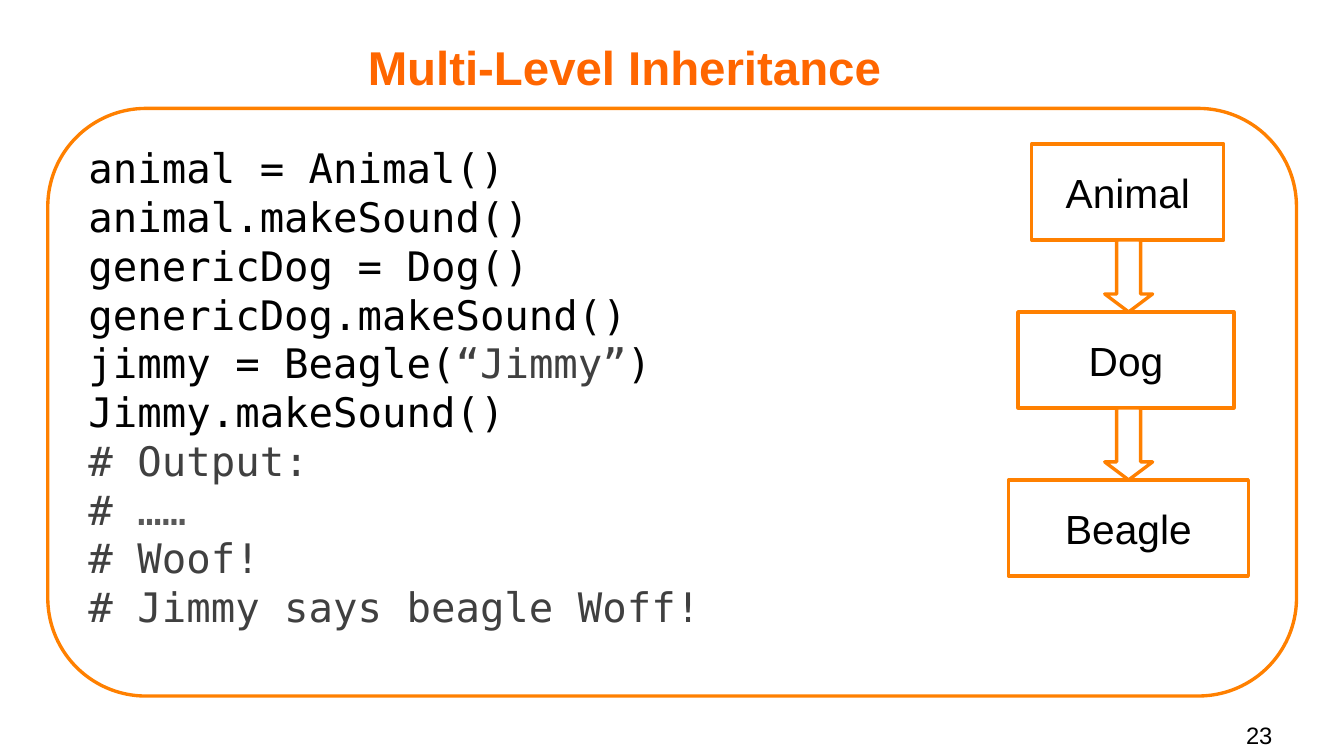
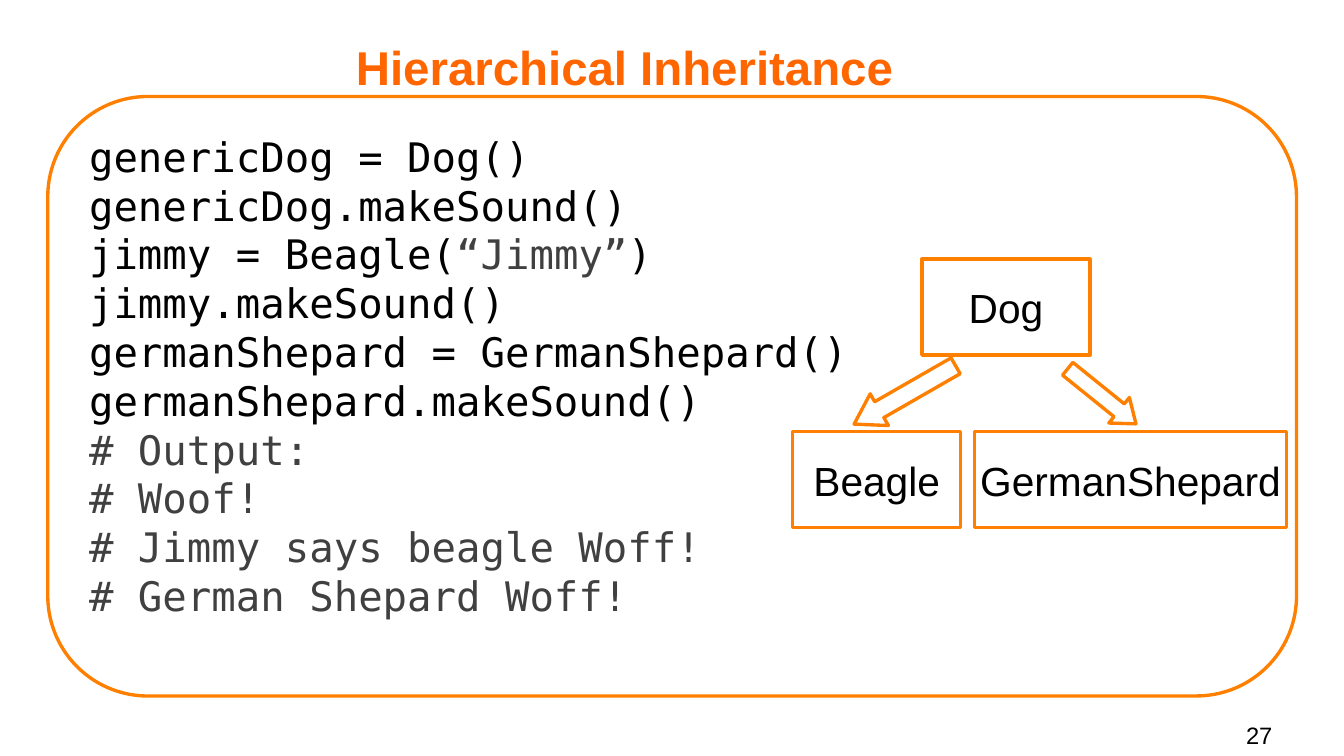
import pptx
import pptx.util
import pptx.dml.color
import pptx.enum.shapes
import pptx.enum.text

Pt = pptx.util.Pt
RGBColor = pptx.dml.color.RGBColor
Shape = pptx.enum.shapes.MSO_SHAPE
Align = pptx.enum.text.PP_ALIGN
Anchor = pptx.enum.text.MSO_ANCHOR

WHITE = RGBColor(0xFF, 0xFF, 0xFF)
BLACK = RGBColor(0x00, 0x00, 0x00)
ORANGE = RGBColor(0xFF, 0x80, 0x00)
TITLE_ORANGE = RGBColor(0xFF, 0x66, 0x00)
DARK_GRAY = RGBColor(0x40, 0x40, 0x40)
MID_GRAY = RGBColor(0x59, 0x59, 0x59)

SANS = "Arial"
MONO = "DejaVu Sans Mono"

PANEL_BOTTOM = 411
CLASS_HEIGHT = 56.7

JIMMY_LINE = ["jimmy = Beagle(", ("“Jimmy”", DARK_GRAY), ")"]


def style(paragraph, name, size, color, align=Align.LEFT, bold=False):
    paragraph.alignment = align
    paragraph.font.name = name
    paragraph.font.size = Pt(size)
    paragraph.font.bold = bold
    paragraph.font.color.rgb = color


def add_text(page, text, left, top, width, height, size, color, align,
             anchor=Anchor.TOP, bold=False):
    box = page.shapes.add_textbox(Pt(left), Pt(top), Pt(width), Pt(height))
    frame = box.text_frame
    frame.word_wrap = True
    frame.vertical_anchor = anchor
    frame.margin_left = frame.margin_right = 0
    frame.margin_top = frame.margin_bottom = 0
    frame.text = text
    style(frame.paragraphs[0], SANS, size, color, align, bold)


def add_outlined(page, kind, left, top, width, height):
    shape = page.shapes.add_shape(kind, Pt(left), Pt(top), Pt(width), Pt(height))
    shape.shadow.inherit = False
    shape.fill.solid()
    shape.fill.fore_color.rgb = WHITE
    shape.line.color.rgb = ORANGE
    shape.line.width = Pt(1.98)
    return shape


def add_code_panel(page, top, lines):
    """Each line is a string, or a list of strings and (text, colour) spans."""
    panel = add_outlined(page, Shape.ROUNDED_RECTANGLE, 28.2, top, 737.2,
                         PANEL_BOTTOM - top)
    panel.adjustments[0] = 0.167
    frame = panel.text_frame
    frame.word_wrap = True
    frame.vertical_anchor = Anchor.TOP
    for index, line in enumerate(lines):
        paragraph = frame.paragraphs[0] if index == 0 else frame.add_paragraph()
        spans = [line] if isinstance(line, str) else line
        comment = spans[0].startswith("#")
        style(paragraph, MONO, 24, DARK_GRAY if comment else BLACK)
        paragraph.line_spacing = Pt(28.8)
        for item in spans:
            text, color = (item, None) if isinstance(item, str) else item
            span = paragraph.add_run()
            span.text = text
            if color is not None:
                span.font.color.rgb = color


def add_class(page, name, left, top, width):
    box = add_outlined(page, Shape.RECTANGLE, left, top, width, CLASS_HEIGHT)
    frame = box.text_frame
    frame.word_wrap = False
    frame.vertical_anchor = Anchor.MIDDLE
    frame.text = name
    style(frame.paragraphs[0], SANS, 24, BLACK, Align.CENTER)


def add_arrow(page, left, top, width, height, head, rotation=0):
    arrow = add_outlined(page, Shape.DOWN_ARROW, left, top, width, height)
    arrow.adjustments[0] = 0.5
    arrow.adjustments[1] = head
    arrow.rotation = rotation


def add_page(deck, title, number, panel_top, lines):
    page = deck.slides.add_slide(deck.slide_layouts[6])
    add_text(page, title, 42.5, 14.4, 652.3, 49.7, 28, TITLE_ORANGE,
             Align.CENTER, Anchor.MIDDLE, bold=True)
    add_code_panel(page, panel_top, lines)
    add_text(page, number, 566.9, 425.5, 184.3, 21, 14, BLACK, Align.RIGHT)
    return page


def add_multi_level(deck):
    page = add_page(deck, "Multi-Level Inheritance", "23", 64, [
        "animal = Animal()",
        "animal.makeSound()",
        "genericDog = Dog()",
        "genericDog.makeSound()",
        JIMMY_LINE,
        "Jimmy.makeSound()",
        "# Output:",
        ["# ", ("……", MID_GRAY)],
        "# Woof!",
        "# Jimmy says beagle Woff!",
    ])
    first_top, gap = 85, 42.5
    chain = [("Animal", 609.1, 113.4), ("Dog", 601, 127.5), ("Beagle", 595.3, 141.7)]
    for level, (name, left, width) in enumerate(chain):
        top = first_top + level * (CLASS_HEIGHT + gap)
        if level:
            add_arrow(page, 652.2, top - gap, 28.3, gap, 0.375)
        add_class(page, name, left, top, width)


def add_hierarchical(deck):
    page = add_page(deck, "Hierarchical Inheritance", "27", 57, [
        "genericDog = Dog()",
        "genericDog.makeSound()",
        JIMMY_LINE,
        "jimmy.makeSound()",
        "germanShepard = GermanShepard()",
        "germanShepard.makeSound()",
        "# Output:",
        "# Woof!",
        "# Jimmy says beagle Woff!",
        "# German Shepard Woff!",
    ])
    child_top = 255
    add_class(page, "Beagle", 468, child_top, 99.2)
    add_class(page, "GermanShepard", 575.3, child_top, 184.3)
    add_class(page, "Dog", 544.3, 153, 99.2)
    add_arrow(page, 523.4, 198.7, 21.6, 69.1, 0.793, 60.1)
    add_arrow(page, 640.8, 208.1, 19.4, 51.8, 0.659, 308.9)


def main():
    deck = pptx.Presentation()
    deck.slide_width = Pt(793.44)
    deck.slide_height = Pt(446.4)
    add_multi_level(deck)
    add_hierarchical(deck)
    deck.save("out.pptx")


if __name__ == "__main__":
    main()
